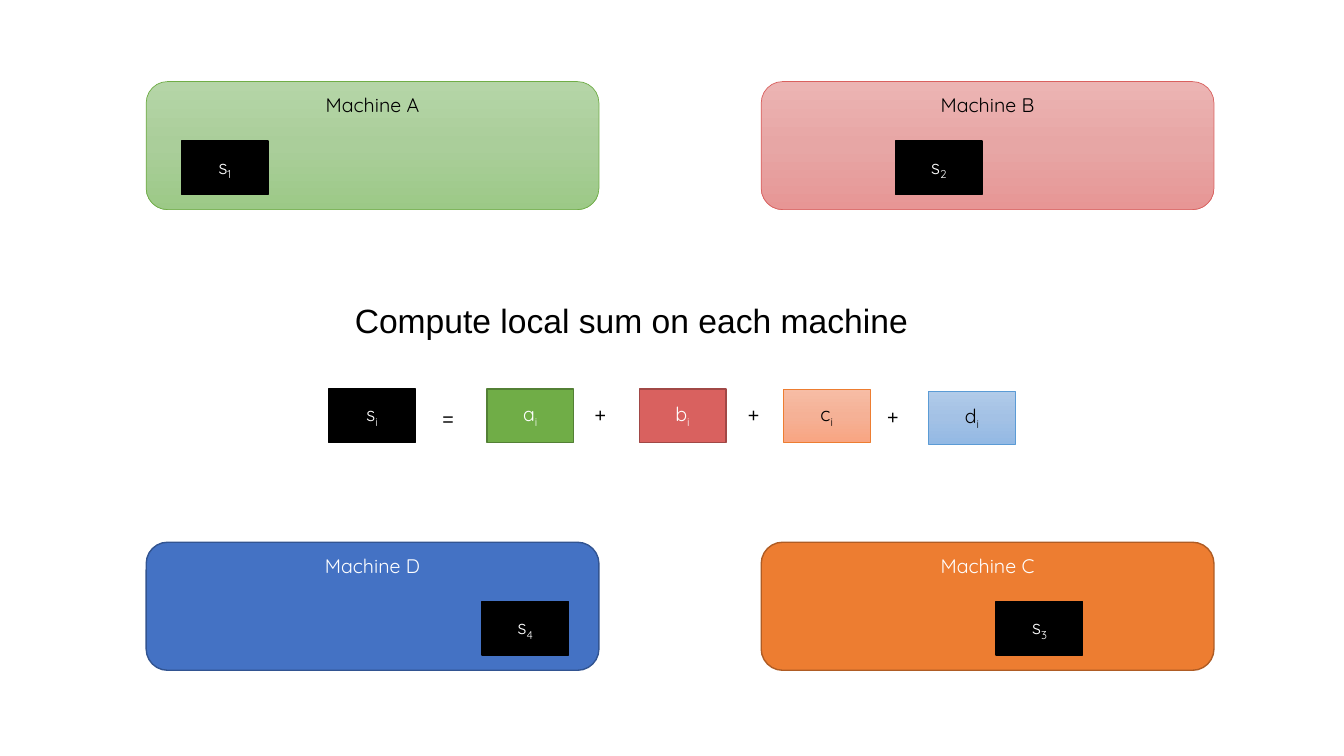
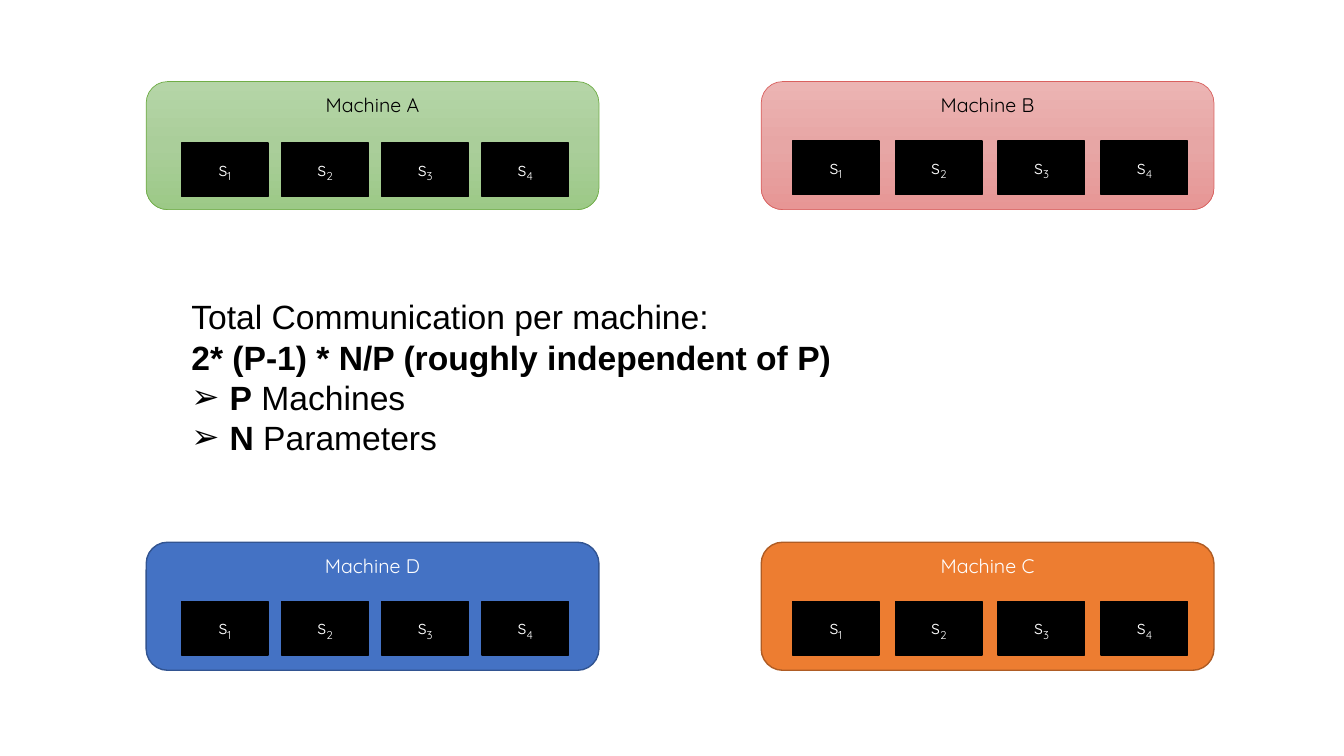
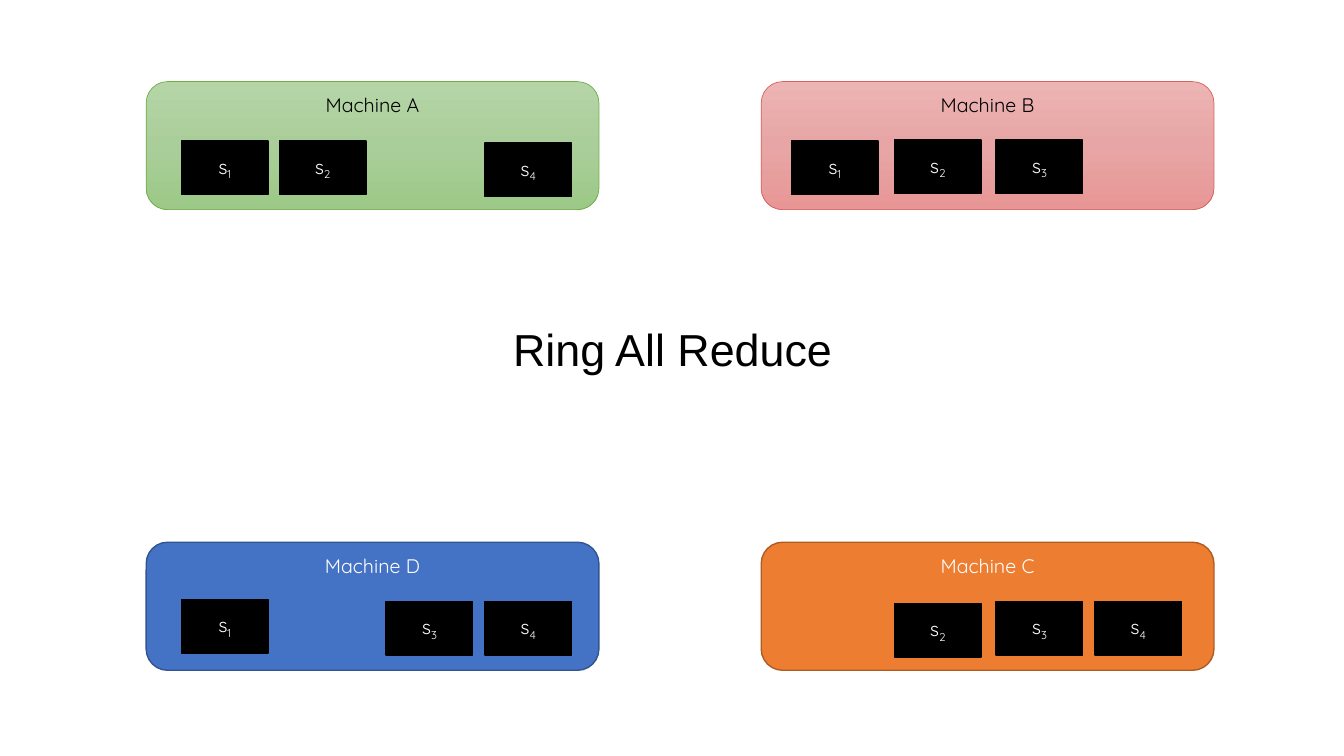
from copy import deepcopy
from dataclasses import dataclass

from lxml.etree import SubElement
from pptx import Presentation
from pptx.dml.color import RGBColor
from pptx.enum.shapes import MSO_SHAPE
from pptx.enum.text import MSO_ANCHOR, MSO_AUTO_SIZE, PP_ALIGN
from pptx.oxml.ns import qn
from pptx.util import Inches, Pt


@dataclass(frozen=True)
class Paint:
    fill: tuple  # one colour, or the stops of a vertical gradient
    line: str
    text: str = "FFFFFF"
    width: float = 1


class Theme:
    label_font, body_font = "Quicksand", "Arial"
    label_size, heading_size, title_size = 14, 24, 32
    ink = "000000"
    chip = Paint(("000000",), "000000")
    # Machine panels
    machine_a = Paint(("B5D5A7", "AACE9A", "9CC987"), "70AD47", ink, 0.5)
    machine_b = Paint(("ECB4B3", "E7A6A5", "E79695"), "D9615F", ink, 0.5)
    machine_c = Paint(("ED7D31",), "AF5C24")
    machine_d = Paint(("4472C4",), "325491")
    # Terms of the sum
    term_a = Paint(("70AD47",), "538035")
    term_b = Paint(("D9615F",), "A14846")
    term_c = Paint(("F7BDA5", "F5B196", "F8A582"), "ED7D31", ink, 0.5)
    term_d = Paint(("B1CBE9", "A3C1E5", "93B9E4"), "5B9BD5", ink, 0.5)


LEFT, RIGHT, TOP, BOTTOM = 1.45, 7.55, 0.81, 5.38
MACHINES = {
    "A": (LEFT, TOP, Theme.machine_a),
    "B": (RIGHT, TOP, Theme.machine_b),
    "D": (LEFT, BOTTOM, Theme.machine_d),
    "C": (RIGHT, BOTTOM, Theme.machine_c),
}


def spread(first, last, count=4):
    """Left edges at equal steps from first to last."""
    return [first + (last - first) * step / (count - 1) for step in range(count)]


class Slides:
    def __init__(self):
        self.deck = Presentation()
        self.deck.slide_width, self.deck.slide_height = Inches(13.33), Inches(7.5)
        self.page = None

    def new_page(self):
        """Add a blank page with the four machine panels."""
        self.page = self.deck.slides.add_slide(self.deck.slide_layouts[6])
        for name, (left, top, paint) in MACHINES.items():
            panel = self.block(MSO_SHAPE.ROUNDED_RECTANGLE, (left, top, 4.49, 1.27), paint)
            panel.text_frame.vertical_anchor = MSO_ANCHOR.TOP
            self.label(panel, paint, f"Machine {name}")

    def block(self, kind, place, paint):
        box = self.page.shapes.add_shape(kind, *map(Inches, place))
        box.shadow.inherit = False
        box.line.color.rgb = RGBColor.from_string(paint.line)
        box.line.width = Pt(paint.width)
        if len(paint.fill) == 1:
            box.fill.solid()
            box.fill.fore_color.rgb = RGBColor.from_string(paint.fill[0])
            return box
        box.fill.gradient()
        box.fill.gradient_angle = 270
        stops = box.element.spPr.find(".//" + qn("a:gsLst"))
        stops.append(deepcopy(stops[-1]))
        for stop, color, position in zip(box.fill.gradient_stops, paint.fill, (0, 0.5, 1)):
            stop.color.rgb = RGBColor.from_string(color)
            stop.position = position
        return box

    def span(self, para, text, color=Theme.ink, **formats):
        span = para.add_run()
        span.text = text
        for name, value in formats.items():
            setattr(span.font, name, value)
        span.font.color.rgb = RGBColor.from_string(color)
        return span

    def label(self, box, paint, text, subscript=""):
        para = box.text_frame.paragraphs[0]
        para.alignment = PP_ALIGN.CENTER
        formats = {"name": Theme.label_font, "size": Pt(Theme.label_size)}
        self.span(para, text, paint.text, **formats)
        if subscript:
            lowered = self.span(para, subscript, paint.text, **formats)
            lowered.font._element.set("baseline", "-25000")

    def chip(self, left, top, letter, subscript, paint=Theme.chip):
        box = self.block(MSO_SHAPE.RECTANGLE, (left, top, 0.86, 0.53), paint)
        box.text_frame.vertical_anchor = MSO_ANCHOR.MIDDLE
        self.label(box, paint, letter, subscript)

    def sums(self, machine, slots, tops):
        """Place chips in a machine; tops maps each chip number to its top edge."""
        left_slots, right_slots = slots
        lefts = left_slots if MACHINES[machine][0] == LEFT else right_slots
        for number, top in tops.items():
            self.chip(lefts[number - 1], top, "s", str(number))

    def bullet(self, para):
        properties = para._p.get_or_add_pPr()
        properties.set("marL", str(Inches(0.38)))
        properties.set("indent", str(-Inches(0.38)))
        color = SubElement(properties, qn("a:buClr"))
        SubElement(color, qn("a:srgbClr")).set("val", Theme.ink)
        SubElement(properties, qn("a:buFont")).set("typeface", Theme.body_font)
        SubElement(properties, qn("a:buChar")).set("char", "➢")

    def text(self, place, size, *lines):
        """Each line is (bulleted, [(text, bold), ...])."""
        box = self.page.shapes.add_textbox(*map(Inches, place))
        frame = box.text_frame
        frame.word_wrap = False
        frame.auto_size = MSO_AUTO_SIZE.SHAPE_TO_FIT_TEXT
        for index, (bulleted, spans) in enumerate(lines):
            para = frame.add_paragraph() if index else frame.paragraphs[0]
            if bulleted:
                self.bullet(para)
            for words, bold in spans:
                self.span(para, words, name=Theme.body_font, size=Pt(size), bold=bold)

    def plain(self, place, size, words):
        self.text(place, size, (False, [(words, False)]))


def local_sum(slides):
    slides.new_page()
    slots = spread(1.8, 4.78), spread(7.88, 10.88)
    for machine, number, top in (("A", 1, 1.4), ("B", 2, 1.4), ("D", 4, 5.97), ("C", 3, 5.97)):
        slides.sums(machine, slots, {number: top})
    slides.plain((3.42, 2.93, 6.45, 0.5), Theme.heading_size, "Compute local sum on each machine")
    # Equation
    for left, top, letter, paint in (
        (3.26, 3.86, "s", Theme.chip),
        (4.83, 3.86, "a", Theme.term_a),
        (6.34, 3.86, "b", Theme.term_b),
        (7.77, 3.86, "c", Theme.term_c),
        (9.21, 3.88, "d", Theme.term_d),
    ):
        slides.chip(left, top, letter, "i", paint)
    for left, top, sign in ((4.29, 3.99, "="), (5.8, 3.95, "+"), (7.32, 3.95, "+"), (8.7, 3.97, "+")):
        slides.plain((left, top, 0.35, 0.4), Theme.label_size, sign)


def communication(slides):
    slides.new_page()
    slots = spread(1.8, 4.78), spread(7.86, 10.92)
    for machine, top in (("A", 1.42), ("B", 1.4), ("D", 5.97), ("C", 5.97)):
        slides.sums(machine, slots, dict.fromkeys(range(1, 5), top))
    slides.text(
        (1.8, 2.89, 6.7, 1.72), Theme.heading_size,
        (False, [("Total Communication per machine:", False)]),
        (False, [("2* (P-1) * N/P (roughly independent of P)", True)]),
        (True, [("P", True), (" Machines", False)]),
        (True, [("N", True), (" Parameters", False)]),
    )


def ring_all_reduce(slides):
    slides.new_page()
    slides.plain((4.99, 3.14, 3.62, 0.64), Theme.title_size, "Ring All Reduce")
    slots = (1.8, 2.77, 3.83, 4.81), (7.85, 8.87, 9.88, 10.86)
    for machine, tops in {
        "A": {1: 1.4, 2: 1.4, 4: 1.42},
        "B": {1: 1.4, 2: 1.39, 3: 1.39},
        "D": {1: 5.95, 3: 5.97, 4: 5.97},
        "C": {2: 5.99, 3: 5.97, 4: 5.97},
    }.items():
        slides.sums(machine, slots, tops)


def main():
    slides = Slides()
    for build in (local_sum, communication, ring_all_reduce):
        build(slides)
    slides.deck.save("out.pptx")


if __name__ == "__main__":
    main()
